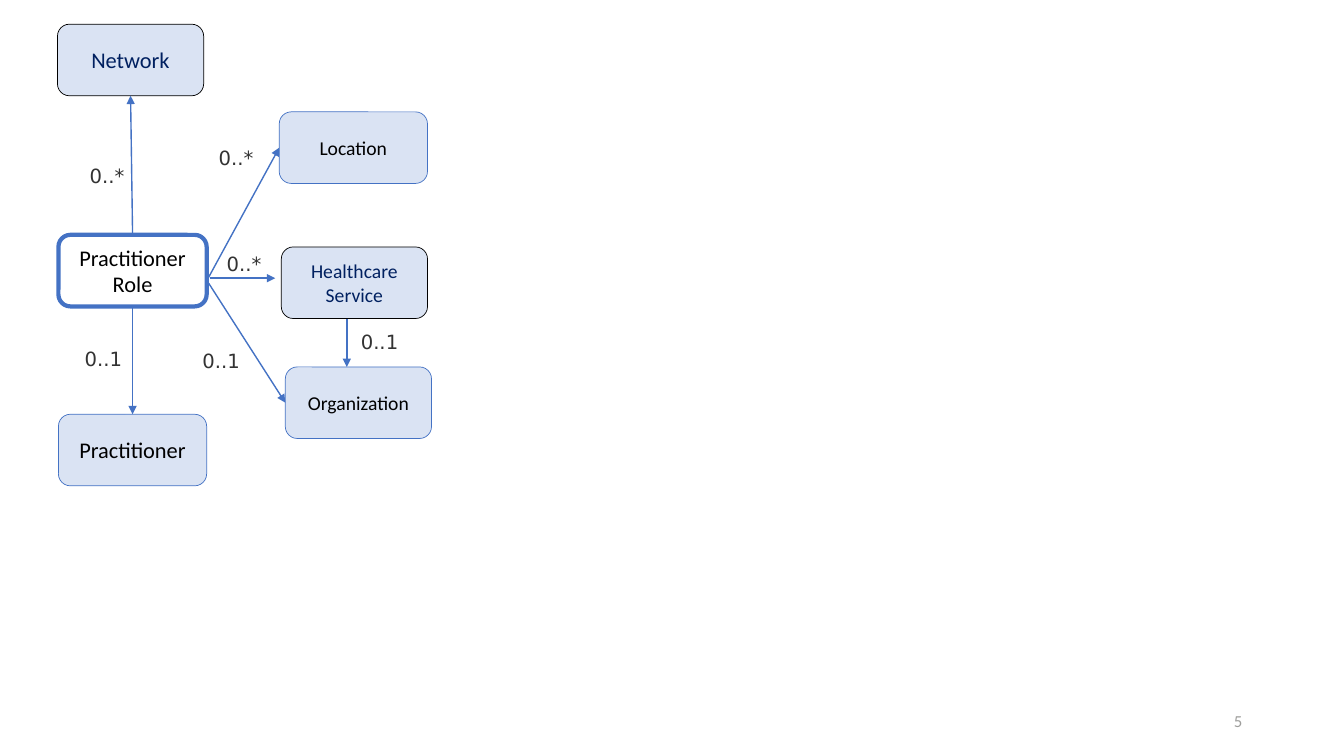
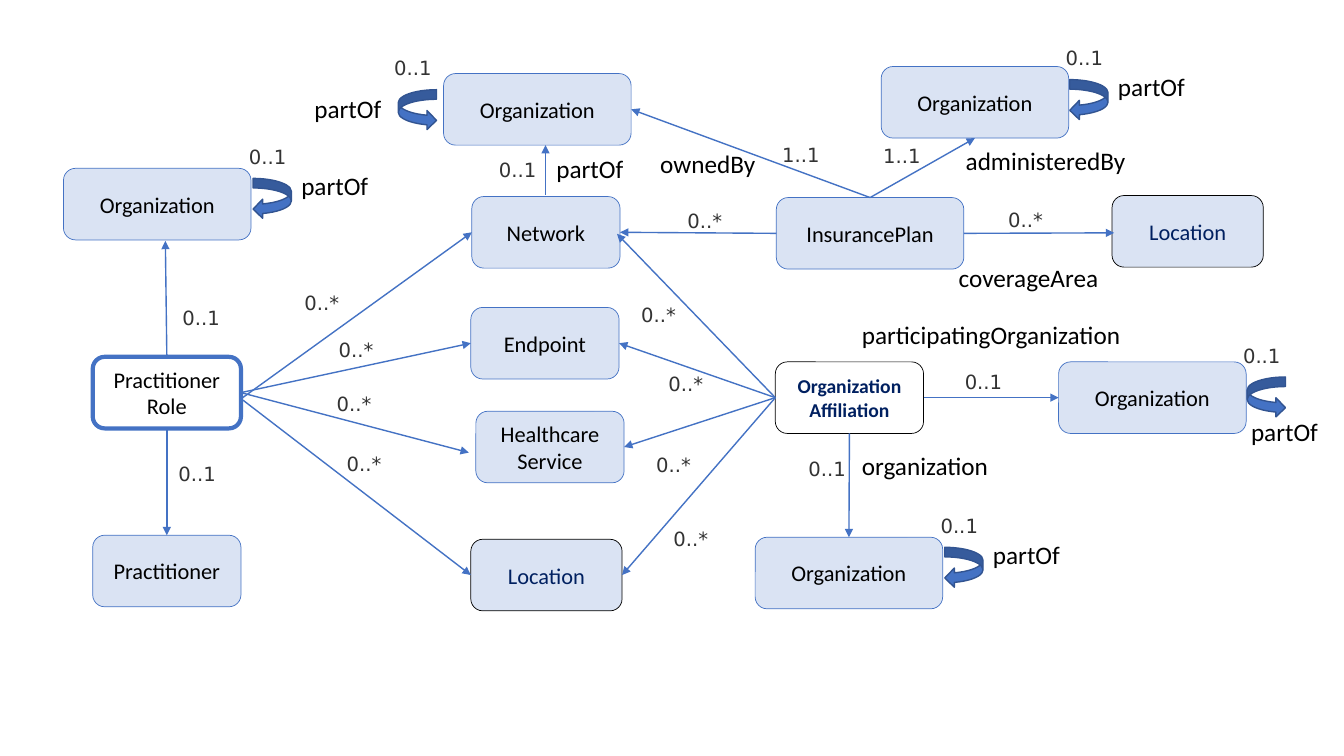
from dataclasses import dataclass
from pptx import Presentation
from pptx.dml.color import RGBColor
from pptx.enum.shapes import MSO_CONNECTOR as Conn, MSO_SHAPE as Shape
from pptx.enum.text import MSO_ANCHOR as Anchor, MSO_AUTO_SIZE as Auto, PP_ALIGN as Align
from pptx.oxml.ns import qn
from pptx.util import Inches, Pt
from lxml.etree import SubElement


@dataclass(frozen=True)
class Theme:
    """Colours, fonts and type sizes of both slides."""
    blue: str = "4472C4"
    edge: str = "325491"
    pale: str = "DAE3F3"
    navy: str = "002060"
    black: str = "000000"
    dark: str = "333333"
    grey: str = "9E9E9C"
    font: str = "Calibri"
    mono: str = "DejaVu Sans"
    page: int = 12
    small: int = 14
    body: int = 16
    role: int = 18


T = Theme()
HIGH = 0.71
SIDES = {"top": 0, "left": 1, "bottom": 2, "right": 3}

# Box looks: fill, line colour, line width, text colour, bold
LOOKS = {
    "plain": (T.pale, T.blue, 0.5, T.black, False),
    "shared": (T.pale, T.black, 0.5, T.navy, False),
    "focus": (None, T.blue, 3, T.black, False),
    "link": (None, T.black, 0.5, T.navy, True),
}

# Boxes: key, text, left, top, width, look, type size
# Arrows: from, to; each a "key side" pair or a free point
# Counts: text, left, top
# Names: text, left, top, width
# Loops: left, top, then the place of "partOf" where it is not the usual one
ROLE_MAP = {
    "boxes": [
        ("role", "Practitioner\nRole", 0.58, 2.33, 1.47, "focus", T.body),
        ("network", "Network", 0.57, 0.24, 1.45, "shared", T.body),
        ("person", "Practitioner", 0.58, 4.11, 1.47, "plain", T.body),
        ("service", "Healthcare Service", 2.79, 2.45, 1.45, "shared", T.small),
        ("org", "Organization", 2.83, 3.64, 1.45, "plain", T.small),
        ("place", "Location", 2.77, 1.11, 1.47, "plain", T.small),
    ],
    "arrows": [
        ("role top", "network bottom"),
        ("role bottom", "person top"),
        ((2.08, 2.76), (2.73, 2.76)),
        ((2.07, 2.75), "place left"),
        ((2.07, 2.81), "org left"),
        ((3.44, 3.16), (3.44, 3.64)),
    ],
    "counts": [
        ("0..1", 1.91, 3.41), ("0..1", 0.74, 3.39), ("0..1", 3.48, 3.22),
        ("0..*", 2.07, 1.4), ("0..*", 2.15, 2.45), ("0..*", 0.79, 1.58),
    ],
    "names": [],
    "loops": [],
    "page": "5",
}

FULL_MAP = {
    "boxes": [
        ("link", "Organization Affiliation", 7.69, 3.59, 1.47, "link", T.small),
        ("service", "Healthcare Service", 4.72, 4.08, 1.47, "plain", T.body),
        ("place", "Location", 4.67, 5.35, 1.5, "shared", T.body),
        ("main", "Organization", 7.49, 5.33, 1.86, "plain", T.body),
        ("endpoint", "Endpoint", 4.67, 3.05, 1.47, "plain", T.body),
        ("network", "Network", 4.68, 1.95, 1.47, "plain", T.body),
        ("role", "Practitioner\nRole", 0.92, 3.54, 1.47, "focus", T.body),
        ("person", "Practitioner", 0.92, 5.31, 1.47, "plain", T.body),
        ("owner", "Organization", 4.4, 0.73, 1.86, "plain", T.body),
        ("plan", "InsurancePlan", 7.7, 1.96, 1.86, "plain", T.body),
        ("admin", "Organization", 8.74, 0.66, 1.86, "plain", T.body),
        ("member", "Organization", 10.5, 3.59, 1.86, "plain", T.body),
        ("employer", "Organization", 0.63, 1.67, 1.86, "plain", T.body),
        ("area", "Location", 11.03, 1.94, 1.5, "shared", T.body),
    ],
    "arrows": [
        ("link bottom", "main top"),
        ("link left", "service right"),
        ("link left", "place right"),
        ("link left", "endpoint right"),
        ("link left", (6.12, 2.32)),
        ("link right", "member left"),
        ("role bottom", "person top"),
        ("role top", (1.64, 2.39)),
        ((2.41, 3.97), "place left"),
        ((2.4, 3.95), "network left"),
        ("role right", (4.65, 4.49)),
        ("role right", "endpoint left"),
        ((5.41, 1.93), (5.41, 1.44)),
        ("plan top", "owner right"),
        ("plan top", "admin bottom"),
        ("plan left", "network right"),
        ("plan right", (11.05, 2.31)),
    ],
    "counts": [
        ("0..*", 6.58, 5.18), ("0..*", 6.53, 3.64), ("0..*", 6.41, 4.44),
        ("0..*", 6.26, 2.96), ("0..*", 2.92, 2.84), ("0..*", 3.24, 3.84),
        ("0..*", 3.26, 3.3), ("0..*", 3.34, 4.43), ("0..*", 9.9, 2.01),
        ("0..*", 6.72, 2.02), ("0..1", 7.92, 4.48), ("0..1", 1.71, 2.99),
        ("0..1", 1.67, 4.53), ("0..1", 9.47, 3.62), ("0..1", 4.85, 1.52),
        ("1..1", 7.66, 1.37), ("1..1", 8.66, 1.38),
    ],
    "names": [
        ("organization", 8.45, 4.42, 1.47),
        ("participatingOrganization", 8.45, 3.12, 2.8),
        ("ownedBy", 6.45, 1.42, 1.16),
        ("administeredBy", 9.48, 1.39, 1.8),
        ("partOf", 5.42, 1.47, 0.87),
        ("coverageArea", 9.41, 2.55, 1.62),
    ],
    "loops": [
        (9.37, 5.43, None), (10.61, 0.79, None), (2.51, 1.77, None),
        (12.37, 3.74, (12.31, 4.08)), (3.95, 0.89, (3.02, 0.88)),
    ],
    "page": None,
}


def rgb(code):
    """Turn a hex code into a colour."""
    return RGBColor.from_string(code)


def put_text(frame, text, size=T.body, color=T.black, font=T.font, bold=False,
             align=Align.LEFT, anchor=Anchor.TOP, wrap=True):
    """Write text, one paragraph a line, with the given format."""
    frame.word_wrap = wrap
    frame.vertical_anchor = anchor
    for i, line in enumerate(text.split("\n")):
        para = frame.add_paragraph() if i else frame.paragraphs[0]
        para.alignment = align
        run = para.add_run()
        run.text = line
        run.font.size, run.font.name, run.font.bold = Pt(size), font, bold
        run.font.color.rgb = rgb(color)


def add_label(slide, text, x, y, wide, high, grow=True, **style):
    """Add a text box."""
    frame = slide.shapes.add_textbox(*map(Inches, (x, y, wide, high))).text_frame
    put_text(frame, text, **style)
    frame.auto_size = Auto.SHAPE_TO_FIT_TEXT if grow else Auto.NONE


def add_count(slide, text, x, y):
    """Add a cardinality label."""
    add_label(slide, text, x, y, 0.72, 0.34, size=T.small, color=T.dark, font=T.mono)


def add_name(slide, text, x, y, wide):
    """Add the name of a relation."""
    add_label(slide, text, x, y, wide, 0.4, size=T.role, wrap=False)


def add_form(slide, kind, x, y, wide, high, fill, line, width):
    """Add a preset shape with its fill and outline."""
    form = slide.shapes.add_shape(kind, *map(Inches, (x, y, wide, high)))
    form.shadow.inherit = False
    if fill:
        form.fill.solid()
        form.fill.fore_color.rgb = rgb(fill)
    else:
        form.fill.background()
    form.line.color.rgb = rgb(line)
    form.line.width = Pt(width)
    return form


def add_box(slide, text, x, y, wide, look, size):
    """Add a rounded box for one resource."""
    fill, line, width, color, bold = LOOKS[look]
    box = add_form(slide, Shape.ROUNDED_RECTANGLE, x, y, wide, HIGH, fill, line, width)
    put_text(box.text_frame, text, size=size, color=color, bold=bold,
             align=Align.CENTER, anchor=Anchor.MIDDLE)
    return box


def add_arrow(slide, boxes, start, end):
    """Add an arrow, glued to a box wherever an end names a side."""
    points = [(0, 0) if isinstance(p, str) else p for p in (start, end)]
    arrow = slide.shapes.add_connector(
        Conn.STRAIGHT, *(Inches(v) for point in points for v in point))
    for spot, glue in ((start, arrow.begin_connect), (end, arrow.end_connect)):
        if isinstance(spot, str):
            key, side = spot.split()
            glue(boxes[key], SIDES[side])
    arrow.line.color.rgb = rgb(T.blue)
    arrow.line.width = Pt(1)
    SubElement(arrow.line._get_or_add_ln(), qn("a:tailEnd"), type="triangle")
    SubElement(arrow._element.spPr, qn("a:effectLst"))


def add_loop(slide, x, y, spot):
    """Add a curved arrow from a box to itself, with its two labels."""
    loop = add_form(slide, Shape.CURVED_LEFT_ARROW, x, y, 0.38, 0.4, T.blue, T.edge, 1)
    name_x, name_y = spot or (x + 0.38, y - 0.13)
    if name_x < x:
        loop._element.spPr.find(qn("a:xfrm")).set("flipH", "1")
    add_count(slide, "0..1", x - 0.14, y - 0.38)
    add_name(slide, "partOf", name_x, name_y, 0.87)


def add_map(deck, data):
    """Add a slide with one resource map."""
    slide = deck.slides.add_slide(deck.slide_layouts[6])
    boxes = {key: add_box(slide, *rest) for key, *rest in data["boxes"]}
    for start, end in data["arrows"]:
        add_arrow(slide, boxes, start, end)
    for count in data["counts"]:
        add_count(slide, *count)
    for name in data["names"]:
        add_name(slide, *name)
    for loop in data["loops"]:
        add_loop(slide, *loop)
    if data["page"]:
        add_label(slide, data["page"], 9.42, 6.95, 3, 0.4, grow=False, size=T.page,
                  color=T.grey, align=Align.RIGHT, anchor=Anchor.MIDDLE)


deck = Presentation()
deck.slide_width, deck.slide_height = Inches(13.33), Inches(7.5)
for data in (ROLE_MAP, FULL_MAP):
    add_map(deck, data)
deck.save("out.pptx")
